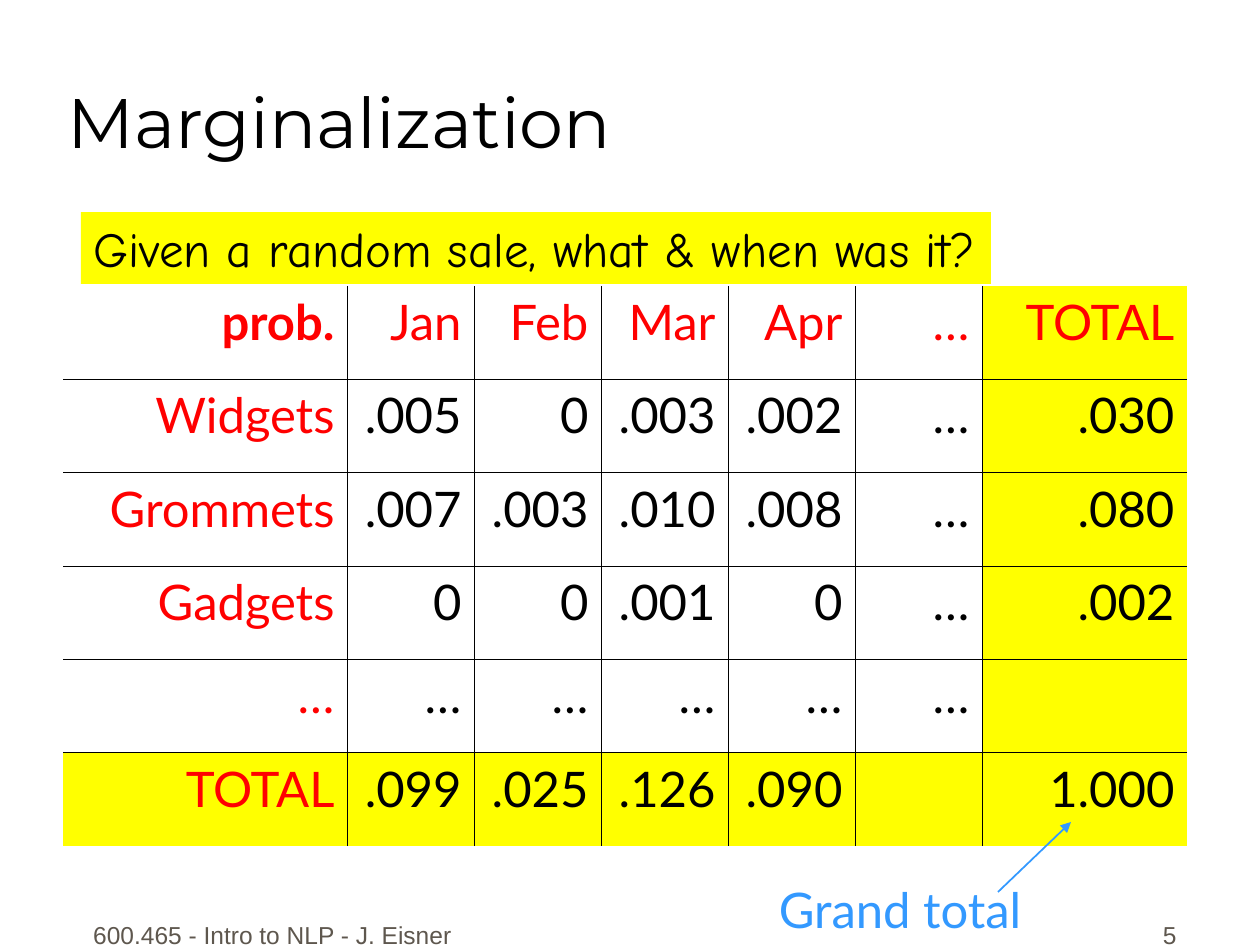
from dataclasses import dataclass

from lxml.etree import SubElement
from pptx import Presentation
from pptx.dml.color import RGBColor
from pptx.enum.shapes import MSO_CONNECTOR, MSO_SHAPE
from pptx.enum.text import MSO_ANCHOR as Anchor
from pptx.enum.text import MSO_AUTO_SIZE as AutoSize
from pptx.enum.text import PP_ALIGN as Align
from pptx.oxml.ns import qn
from pptx.util import Emu, Pt

EMU_PER_PX = 914400 / 126


def px(value):
    return Emu(round(value * EMU_PER_PX))


@dataclass(frozen=True)
class TextStyle:
    font: str
    size: int
    color: str
    bold: bool = False


@dataclass(frozen=True)
class Theme:
    highlight: str = "FFFF00"
    accent: str = "3399FF"
    grid: str = "000000"
    grid_width: float = 0.45
    arrow_width: float = 1
    cell_space: float = 7
    footer_space: float = 8.8
    title: TextStyle = TextStyle("Montserrat", 40, "000000")
    question: TextStyle = TextStyle("Comic Neue", 28, "000000")
    callout: TextStyle = TextStyle("Lato", 28, "3399FF")
    value: TextStyle = TextStyle("Lato", 28, "000000")
    label: TextStyle = TextStyle("Lato", 28, "FF0000")
    corner: TextStyle = TextStyle("Lato", 28, "FF0000", True)
    footer: TextStyle = TextStyle("Arial", 14, "5E574E")


class SlideBuilder:
    def __init__(self, slide, theme):
        self.slide = slide
        self.theme = theme

    def add_run(self, frame, text, style, align=Align.LEFT, space=0):
        paragraph = frame.paragraphs[0]
        paragraph.alignment = align
        paragraph.space_before = Pt(space)
        run = paragraph.add_run()
        run.text = text
        run.font.name = style.font
        run.font.size = Pt(style.size)
        run.font.bold = style.bold
        run.font.color.rgb = RGBColor.from_string(style.color)

    def text(self, box, text, style, align=Align.LEFT, anchor=Anchor.TOP,
             space=0, wrap=True, bottom=6):
        frame = self.slide.shapes.add_textbox(*map(px, box)).text_frame
        frame.word_wrap = wrap
        frame.auto_size = AutoSize.NONE if wrap else AutoSize.SHAPE_TO_FIT_TEXT
        frame.vertical_anchor = anchor
        frame.margin_bottom = px(bottom)
        self.add_run(frame, text, style, align, space)

    def banner(self, box, text, style):
        shape = self.slide.shapes.add_shape(MSO_SHAPE.RECTANGLE, *map(px, box))
        shape.shadow.inherit = False
        shape.fill.solid()
        shape.fill.fore_color.rgb = RGBColor.from_string(self.theme.highlight)
        shape.line.fill.background()
        frame = shape.text_frame
        frame.word_wrap = False
        frame.auto_size = AutoSize.SHAPE_TO_FIT_TEXT
        frame.vertical_anchor = Anchor.TOP
        self.add_run(frame, text, style)

    def arrow(self, start, end):
        connector = self.slide.shapes.add_connector(
            MSO_CONNECTOR.STRAIGHT, *map(px, start + end))
        connector.line.color.rgb = RGBColor.from_string(self.theme.accent)
        connector.line.width = Pt(self.theme.arrow_width)
        properties = connector._element.spPr
        SubElement(properties.find(qn("a:ln")), qn("a:tailEnd"), type="triangle")
        SubElement(properties, qn("a:effectLst"))

    def border(self, cell, side, visible):
        properties = cell._tc.get_or_add_tcPr()
        line = SubElement(properties, qn(f"a:ln{side}"),
                          w=str(int(Pt(self.theme.grid_width))))
        if visible:
            fill = SubElement(line, qn("a:solidFill"))
            SubElement(fill, qn("a:srgbClr"), val=self.theme.grid)
        else:
            SubElement(line, qn("a:noFill"))

    def table(self, left, top, widths, height, rows):
        last_row, last_column = len(rows) - 1, len(widths) - 1
        table = self.slide.shapes.add_table(
            len(rows), len(widths), px(left), px(top),
            px(sum(widths)), px(height)).table
        table.first_row = False
        table.horz_banding = False
        for column, width in zip(table.columns, widths):
            column.width = px(width)
        for r, values in enumerate(rows):
            table.rows[r].height = px(height / len(rows))
            for c, value in enumerate(values):
                cell = table.cell(r, c)
                inner = {"L": c > 0, "R": c < last_column,
                         "T": r > 0, "B": r < last_row}
                for side, visible in inner.items():
                    self.border(cell, side, visible)
                if r == last_row or c == last_column:
                    cell.fill.solid()
                    cell.fill.fore_color.rgb = RGBColor.from_string(
                        self.theme.highlight)
                else:
                    cell.fill.background()
                if r == c == 0:
                    style = self.theme.corner
                elif r == 0 or c == 0:
                    style = self.theme.label
                else:
                    style = self.theme.value
                if value:
                    self.add_run(cell.text_frame, value, style, Align.RIGHT,
                                 self.theme.cell_space)


def main():
    presentation = Presentation()
    presentation.slide_width = px(1260)
    presentation.slide_height = px(945)
    theme = Theme()
    slide = presentation.slides.add_slide(presentation.slide_layouts[6])
    builder = SlideBuilder(slide, theme)

    builder.text((73, 892, 399, 63), "600.465 - Intro to NLP - J. Eisner",
                 theme.footer, Align.CENTER, Anchor.BOTTOM, theme.footer_space)
    builder.text((927, 892, 262, 63), "5", theme.footer,
                 Align.RIGHT, Anchor.BOTTOM, theme.footer_space)
    builder.text((55, 8, 1071, 157), "Marginalization", theme.title,
                 anchor=Anchor.BOTTOM, bottom=3)

    probabilities = [
        ("prob.", "Jan", "Feb", "Mar", "Apr", "…", "TOTAL"),
        ("Widgets", ".005", "0", ".003", ".002", "…", ".030"),
        ("Grommets", ".007", ".003", ".010", ".008", "…", ".080"),
        ("Gadgets", "0", "0", ".001", "0", "…", ".002"),
        ("…", "…", "…", "…", "…", "…", ""),
        ("TOTAL", ".099", ".025", ".126", ".090", "", "1.000"),
    ]
    builder.table(63, 286, [284] + [127] * 5 + [205], 560, probabilities)

    builder.arrow((998, 892), (1071, 822))
    builder.text((757, 873, 286, 72), "Grand total", theme.callout,
                 Align.CENTER, wrap=False)
    builder.banner((81, 212, 910, 72),
                   "Given a random sale, what & when was it?", theme.question)
    presentation.save("out.pptx")


if __name__ == "__main__":
    main()
